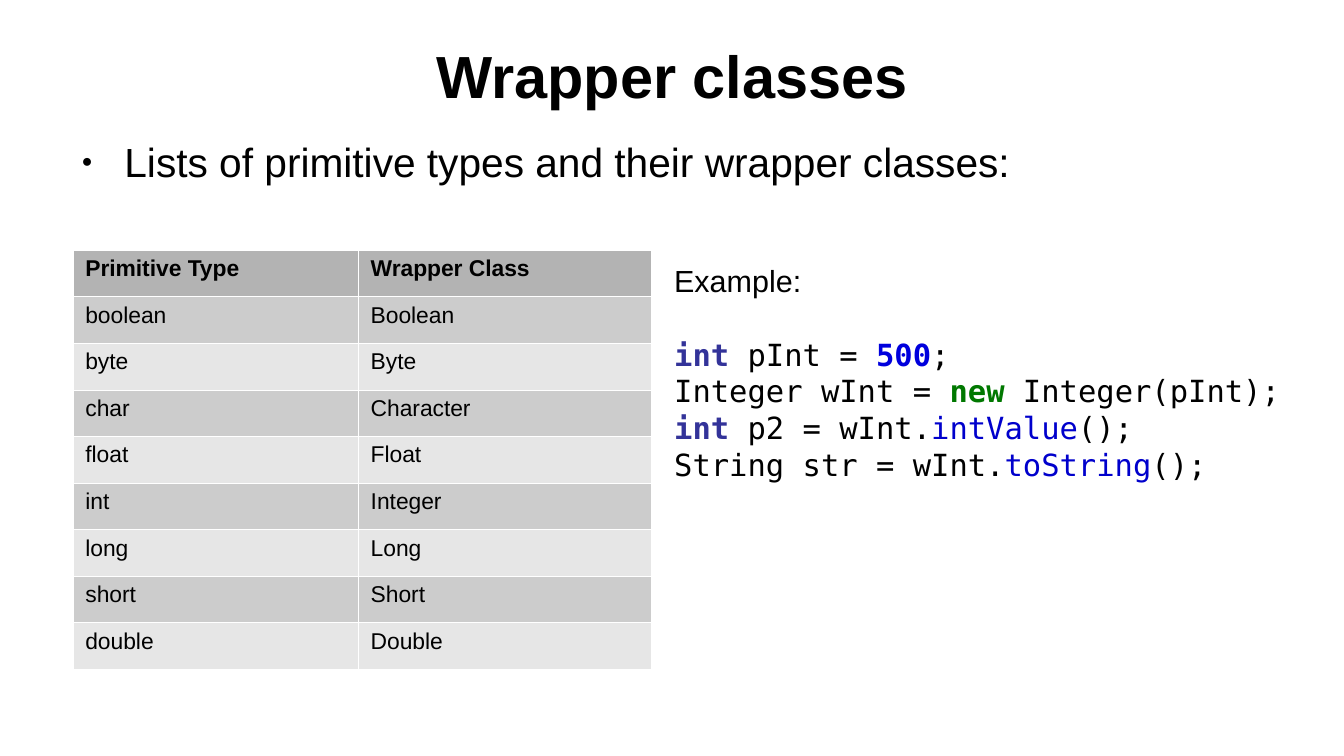
import pptx
import pptx.dml.color
import pptx.enum.text
import pptx.oxml
import pptx.oxml.ns
import pptx.util

Inches = pptx.util.Inches
Pt = pptx.util.Pt
RGBColor = pptx.dml.color.RGBColor
NS = pptx.oxml.ns.nsdecls("a")

BLACK = RGBColor(0, 0, 0)
HEADER_GREY = RGBColor(0xB3, 0xB3, 0xB3)
DARK_GREY = RGBColor(0xCC, 0xCC, 0xCC)
LIGHT_GREY = RGBColor(0xE6, 0xE6, 0xE6)
TYPE_BLUE = RGBColor(0x33, 0x33, 0x99)
NUMBER_BLUE = RGBColor(0, 0, 0xDD)
KEYWORD_GREEN = RGBColor(0, 0x78, 0)
METHOD_BLUE = RGBColor(0, 0, 0xCC)


def add_run(paragraph, text, size, color=BLACK, bold=False, name="Arial"):
    run = paragraph.add_run()
    run.text = text
    run.font.color.rgb = color
    for key, value in {"size": Pt(size), "bold": bold, "name": name}.items():
        setattr(run.font, key, value)


def place(shape, left, top, width, height, **frame_format):
    """Position a text shape and format its text frame."""
    box = {"left": left, "top": top, "width": width, "height": height}
    for key, value in box.items():
        setattr(shape, key, Inches(value))
    for key, value in frame_format.items():
        setattr(shape.text_frame, key, value)


presentation = pptx.Presentation()
presentation.slide_width = Inches(11.02)
presentation.slide_height = Inches(6.2)
slide = presentation.slides.add_slide(presentation.slide_layouts[1])
no_margins = dict.fromkeys(
    ("margin_left", "margin_top", "margin_right", "margin_bottom"), 0)
no_autofit = pptx.enum.text.MSO_AUTO_SIZE.NONE

# Title
title = slide.shapes.title
place(title, 0.55, 0.25, 9.92, 0.73, word_wrap=True, auto_size=no_autofit,
      vertical_anchor=pptx.enum.text.MSO_ANCHOR.MIDDLE, **no_margins)
heading = title.text_frame.paragraphs[0]
heading.alignment = pptx.enum.text.PP_ALIGN.CENTER
add_run(heading, "Wrapper classes", 35.1, bold=True)

# Bullet
body = slide.placeholders[1]
place(body, 0.55, 1.12, 10, 1.18, word_wrap=True, auto_size=no_autofit,
      vertical_anchor=pptx.enum.text.MSO_ANCHOR.TOP, **no_margins)
intro = body.text_frame.paragraphs[0]
intro.space_before = Pt(0)
intro.space_after = Pt(10.6)
add_run(intro, "Lists of primitive types and their wrapper classes:", 24)
bullet = intro._p.get_or_add_pPr()
bullet.set("marL", str(Inches(0.47)))
bullet.set("indent", str(Inches(-0.35)))
for xml in (
    f'<a:buClr {NS}><a:srgbClr val="{BLACK}"/></a:buClr>',
    f'<a:buSzPct {NS} val="45000"/>',
    f'<a:buFont {NS} typeface="Arial"/>',
    f'<a:buChar {NS} char="●"/>',
):
    bullet.append(pptx.oxml.parse_xml(xml))

# Type table
type_pairs = [
    ("Primitive Type", "Wrapper Class"),
    ("boolean", "Boolean"),
    ("byte", "Byte"),
    ("char", "Character"),
    ("float", "Float"),
    ("int", "Integer"),
    ("long", "Long"),
    ("short", "Short"),
    ("double", "Double"),
]
types = slide.shapes.add_table(
    len(type_pairs), 2, Inches(0.6), Inches(2.05), Inches(4.74), Inches(3.44)).table
types.horz_banding = False
for column, width in zip(types.columns, (2.34, 2.4)):
    column.width = Inches(width)

for row, pair in enumerate(type_pairs):
    is_header = row == 0
    fill = HEADER_GREY if is_header else DARK_GREY if row % 2 else LIGHT_GREY
    for column, text in enumerate(pair):
        cell = types.cell(row, column)
        add_run(cell.text_frame.paragraphs[0], text, 13.5, bold=is_header)
        for side in "LRTB":
            cell._tc.get_or_add_tcPr().append(pptx.oxml.parse_xml(
                f'<a:ln{side} {NS} w="{Pt(0.06)}"><a:solidFill>'
                f'<a:srgbClr val="FFFFFF"/></a:solidFill></a:ln{side}>'))
        cell.fill.solid()
        cell.fill.fore_color.rgb = fill

# Code example
code_lines = [
    [("int", TYPE_BLUE, True), (" pInt = ",), ("500", NUMBER_BLUE, True), (";",)],
    [("Integer wInt = ",), ("new", KEYWORD_GREEN, True), (" Integer(pInt);",)],
    [("int", TYPE_BLUE, True), (" p2 = wInt.",), ("intValue", METHOD_BLUE), ("();",)],
    [("String str = wInt.",), ("toString", METHOD_BLUE), ("();",)],
]
example = slide.shapes.add_textbox(0, 0, 0, 0)
place(example, 5.43, 2.1, 5.43, 2.83, word_wrap=True)
label = example.text_frame.paragraphs[0]
label.space_after = Pt(22)
add_run(label, "Example:", 18)
for code_line in code_lines:
    statement = example.text_frame.add_paragraph()
    for text, *style in code_line:
        add_run(statement, text, 18, *style, name="DejaVu Sans Mono")

presentation.save("out.pptx")
